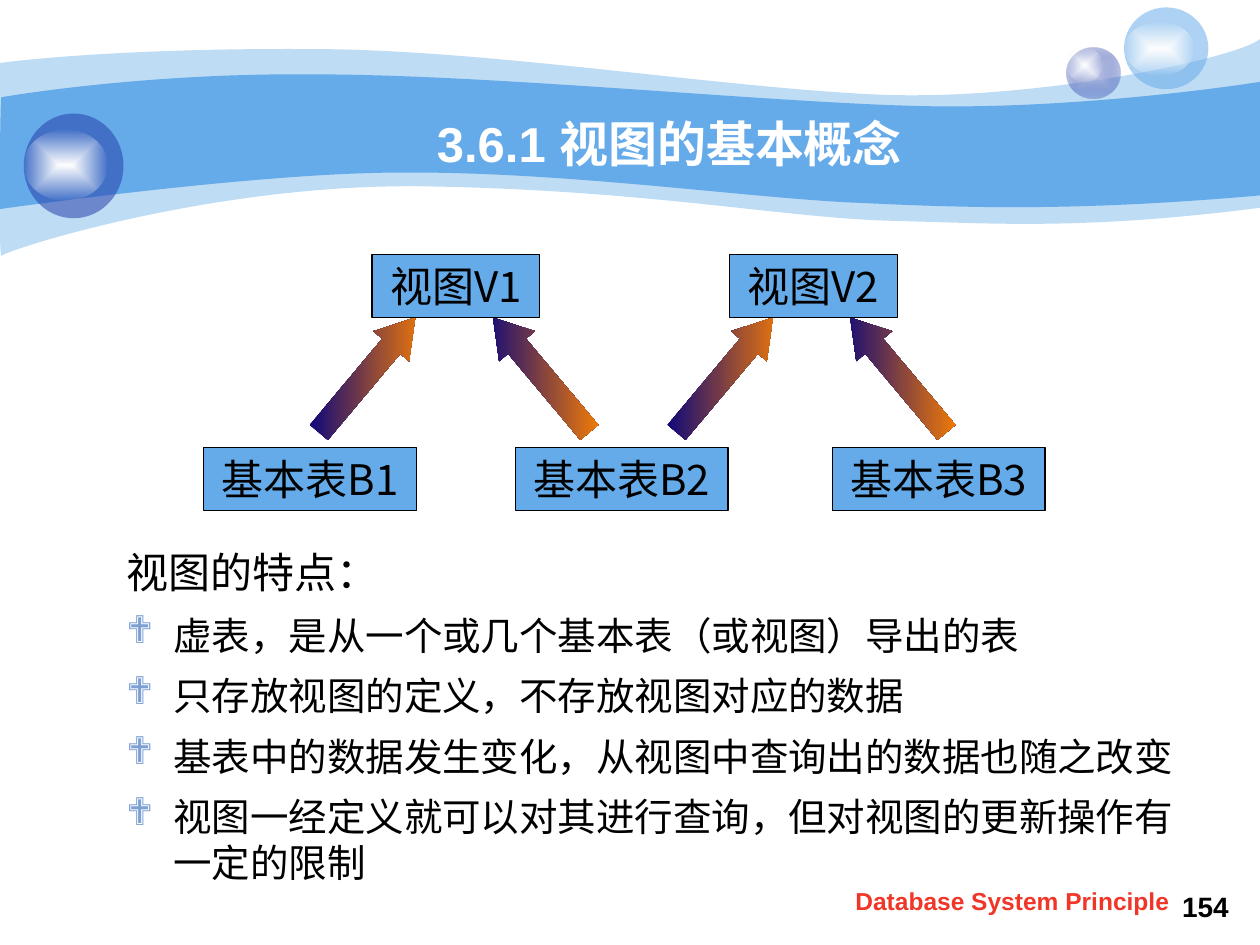
"""Build the slide on the basic concept of database views."""
from lxml import etree
from pptx import Presentation
from pptx.dml.color import RGBColor
from pptx.enum.shapes import MSO_SHAPE
from pptx.enum.text import MSO_ANCHOR, PP_ALIGN
from pptx.oxml.ns import qn
from pptx.util import Cm, Pt

RECT, OVAL, UP_ARROW = MSO_SHAPE.RECTANGLE, MSO_SHAPE.OVAL, MSO_SHAPE.UP_ARROW
CENTER, MIDDLE = PP_ALIGN.CENTER, MSO_ANCHOR.MIDDLE
LATIN, CJK = "Arial", "Noto Sans CJK JP"
COLORS = {
    "sky": "65AAE9", "royal": "233DA9", "pale": "C7CEE9", "white": "FFFFFF",
    "black": "000000", "navy": "000082", "orange": "FF8200",
    "red": "F03628", "bullet": "7DA0D3",
}


def paint(shape, stops, radial=False):
    """Fill with (color, opacity) stops, without outline or shadow."""
    shape.shadow.inherit = False
    shape.line.fill.background()
    shape.fill.background()
    empty = shape._element.spPr.find(qn("a:noFill"))
    fill = etree.Element(qn("a:solidFill" if len(stops) == 1 else "a:gradFill"))
    holder = fill
    if len(stops) > 1:
        fill.set("rotWithShape", "0")
        stop_list = etree.SubElement(fill, qn("a:gsLst"))
    for index, (color, opacity) in enumerate(stops):
        if len(stops) > 1:
            holder = etree.SubElement(stop_list, qn("a:gs"), pos=str(index * 100000))
        tint = etree.SubElement(holder, qn("a:srgbClr"), val=COLORS[color])
        if opacity < 100:
            etree.SubElement(tint, qn("a:alpha"), val=str(opacity * 1000))
    if radial:
        center = etree.SubElement(fill, qn("a:path"), path="rect")
        etree.SubElement(center, qn("a:fillToRect"), l="50000", t="50000", r="50000", b="50000")
    elif len(stops) > 1:
        etree.SubElement(fill, qn("a:lin"), ang="0", scaled="0")
    empty.getparent().replace(empty, fill)


def add_run(paragraph, text, size, color, bold=False, latin=LATIN):
    """Append one formatted run."""
    run = paragraph.add_run()
    run.text = text
    run.font.name, run.font.size, run.font.bold = latin, Pt(size), bold
    run.font.color.rgb = RGBColor.from_string(COLORS[color])
    etree.SubElement(run._r.get_or_add_rPr(), qn("a:ea"), typeface=CJK)


prs = Presentation()
prs.slide_width, prs.slide_height = Cm(25.4), Cm(19.05)
slide = prs.slides.add_slide(prs.slide_layouts[5])
shapes = slide.shapes

waves = [
    (41, (0, 127), [
        (61, 119, 272, 97, 627, 99), (980, 99, 1460, 178, 1775, 191),
        (2088, 203, 2489, 119, 2540, 79), (2540, 419),
        (2179, 465, 1999, 450, 1791, 445), (1580, 439, 1308, 384, 871, 376),
        (437, 366, 10, 505, 3, 516), (-3, 528, 0, 191, 0, 127)]),
    (100, (3, 196), [
        (5, 196, 279, 147, 630, 150), (980, 150, 1511, 203, 1824, 213),
        (2136, 224, 2479, 175, 2540, 165), (2540, 394),
        (2167, 427, 1943, 419, 1732, 409), (1521, 401, 1138, 345, 805, 348),
        (516, 348, -5, 422, -3, 422), (0, 422, 0, 196, 3, 196)]),
]
for opacity, start, segments in waves:
    ends = [segment[-2:] for segment in segments]
    outline = shapes.build_freeform(*start, scale=Cm(0.01))
    outline.add_line_segments(ends, close=True)
    wave = outline.convert_to_shape()
    left, top = min(x for x, y in ends), min(y for x, y in ends)
    for edge, segment in zip(list(wave._element.iter(qn("a:lnTo"))), segments):
        if len(segment) == 2:
            continue
        curve = etree.Element(qn("a:cubicBezTo"))
        for x, y in zip(segment[::2], segment[1::2]):
            etree.SubElement(curve, qn("a:pt"), x=str(x - left), y=str(y - top))
        edge.getparent().replace(edge, curve)
    paint(wave, [("sky", opacity)])

glow = [("white", 100), ("white", 0)]
bubbles = [
    (21.51, 0.97, 1.07, 1.02, [("pale", 100), ("royal", 31)]),
    (21.51, 0.97, 0.71, 0.69, glow),
    (22.66, 0.15, 1.7, 1.65, [("sky", 53)]),
    (22.66, 0.43, 1.42, 1.09, glow),
    (0.48, 2.29, 2.01, 2.11, [("royal", 53)]),
    (0.48, 2.62, 1.68, 1.42, glow),
]
for left, top, width, height, stops in bubbles:
    bubble = shapes.add_shape(OVAL, Cm(left), Cm(top), Cm(width), Cm(height))
    paint(bubble, stops, radial=len(stops) > 1)

footers = [
    (23.5, 17.81, 1.6, 0.94, "154", 16, "black"),
    (16.31, 17.73, 8.2, 0.89, "Database System Principle", 14, "red"),
]
for left, top, width, height, text, size, color in footers:
    footer = shapes.add_textbox(Cm(left), Cm(top), Cm(width), Cm(height))
    footer.text_frame.word_wrap = True
    line = footer.text_frame.paragraphs[0]
    line.alignment = CENTER
    add_run(line, text, size, color, bold=True)

title = shapes.title
title.left, title.top, title.width, title.height = Cm(2.7), Cm(1.93), Cm(21.59), Cm(1.91)
title.text_frame.vertical_anchor = MIDDLE
heading = title.text_frame.paragraphs[0]
heading.alignment = CENTER
add_run(heading, "3.6.1 视图的基本概念", 28, "white", bold=True)
shapes._spTree.append(title._element)

nodes = [
    ("视图V1", 7.5, 5.13, 3.38), ("视图V2", 14.71, 5.13, 3.38),
    ("基本表B1", 4.11, 9.02, 4.29), ("基本表B3", 16.78, 9.02, 4.29),
    ("基本表B2", 10.39, 9.02, 4.29),
]
for label, left, top, width in nodes:
    node = shapes.add_shape(RECT, Cm(left), Cm(top), Cm(width), Cm(1.27))
    paint(node, [("sky", 100)])
    node.line.color.rgb = RGBColor.from_string(COLORS["black"])
    node.line.width = Pt(0.75)
    node.text_frame.word_wrap = False
    node.text_frame.vertical_anchor = MIDDLE
    caption = node.text_frame.paragraphs[0]
    caption.alignment = CENTER
    add_run(caption, label, 24, "black", latin=CJK)

for left, angle in [(6.93, 40), (10.44, 320), (14.14, 40), (17.64, 320)]:
    arrow = shapes.add_shape(UP_ARROW, Cm(left), Cm(6.05), Cm(0.94), Cm(3.02))
    arrow.rotation = angle
    arrow.adjustments[0], arrow.adjustments[1] = 0.5, 0.8
    paint(arrow, [("navy", 100), ("orange", 100)])

traits = [
    "虚表，是从一个或几个基本表（或视图）导出的表",
    "只存放视图的定义，不存放视图对应的数据",
    "基表中的数据发生变化，从视图中查询出的数据也随之改变",
    "视图一经定义就可以对其进行查询，但对视图的更新操作有一定的限制",
]
features = shapes.add_textbox(Cm(2.3), Cm(10.9), Cm(22), Cm(7.62)).text_frame
features.word_wrap = True
lead = features.paragraphs[0]
lead.line_spacing = Pt(28.8)
add_run(lead, "视图的特点：", 24, "black")
for trait in traits:
    item = features.add_paragraph()
    item.line_spacing, item.space_before = Pt(26.4), Pt(8.2)
    props = item._p.get_or_add_pPr()
    props.set("marL", str(Cm(0.95)))
    props.set("indent", str(Cm(-0.95)))
    bullet_color = etree.SubElement(props, qn("a:buClr"))
    etree.SubElement(bullet_color, qn("a:srgbClr"), val=COLORS["bullet"])
    etree.SubElement(props, qn("a:buFont"), typeface="Wingdings", charset="2")
    etree.SubElement(props, qn("a:buChar"), char="❖")
    add_run(item, trait, 22, "black")

prs.save("out.pptx")
